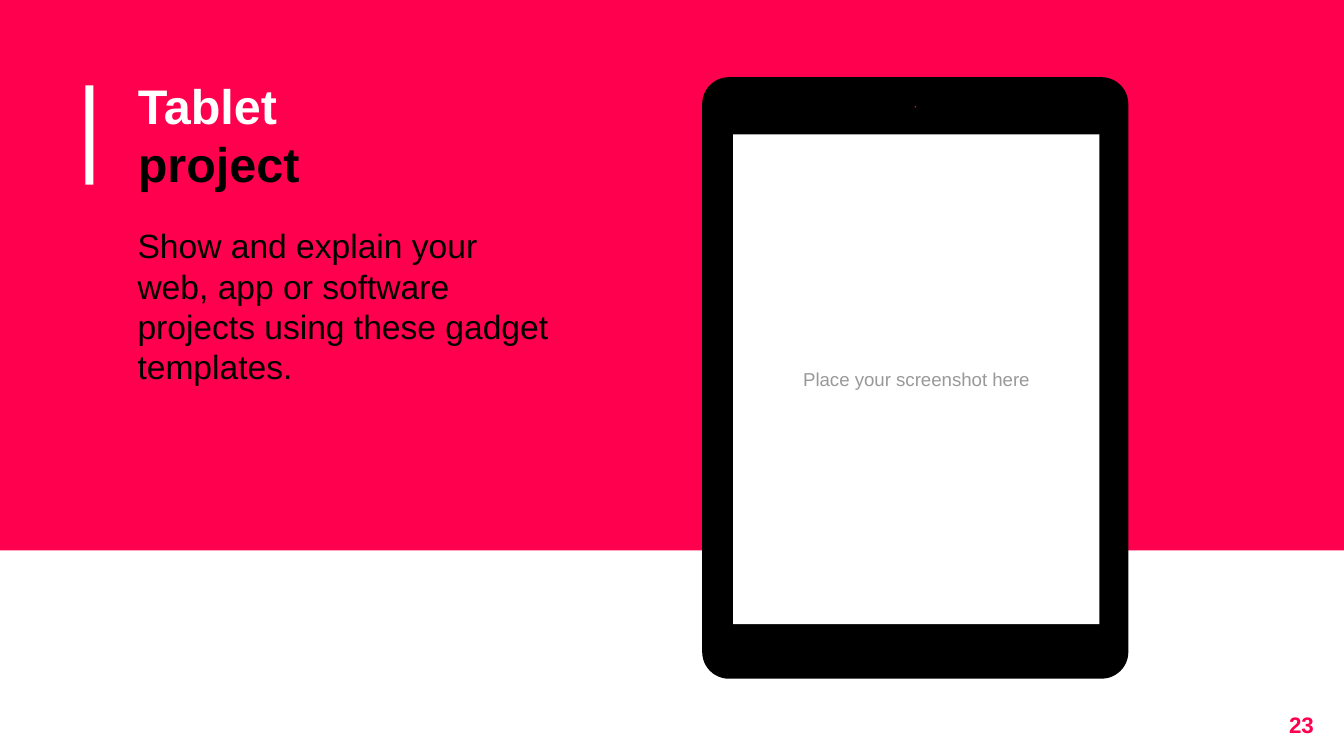
from dataclasses import dataclass

from pptx import Presentation
from pptx.dml.color import RGBColor
from pptx.enum.shapes import MSO_SHAPE
from pptx.enum.text import MSO_ANCHOR, MSO_AUTO_SIZE, PP_ALIGN
from pptx.util import Pt

PX = 4572  # EMU per px, 200 px to the inch
RECT, ROUND, OVAL = MSO_SHAPE.RECTANGLE, MSO_SHAPE.ROUNDED_RECTANGLE, MSO_SHAPE.OVAL
TOP, MIDDLE = MSO_ANCHOR.TOP, MSO_ANCHOR.MIDDLE
LEFT, CENTER, RIGHT = PP_ALIGN.LEFT, PP_ALIGN.CENTER, PP_ALIGN.RIGHT
NO_FIT = MSO_AUTO_SIZE.NONE

PINK = RGBColor(0xFF, 0x00, 0x4E)
WHITE = RGBColor(0xFF, 0xFF, 0xFF)
BLACK = RGBColor(0x00, 0x00, 0x00)
GRAY = RGBColor(0x99, 0x99, 0x99)

FONT = "Arial"
PITCH = 1.2  # line height in ems
WIDTH, HEIGHT = 2000, 1125
INSET = 20
MARGIN = 185  # left edge of the title and body text


@dataclass(frozen=True)
class Box:
    left: int
    top: int
    width: int
    height: int

    def emu(self) -> tuple[int, ...]:
        return tuple(n * PX for n in (self.left, self.top, self.width, self.height))


@dataclass(frozen=True)
class Line:
    text: str
    color: RGBColor


@dataclass(frozen=True)
class Style:
    size: int
    bold: bool = False
    align: PP_ALIGN = LEFT
    anchor: MSO_ANCHOR = TOP


def draw(slide, kind: MSO_SHAPE, box: Box, fill: RGBColor):
    shape = slide.shapes.add_shape(kind, *box.emu())
    shape.shadow.inherit = False
    shape.fill.solid()
    shape.fill.fore_color.rgb = fill
    shape.line.fill.background()
    return shape


def write(shape, lines: list[Line], style: Style) -> None:
    frame = shape.text_frame
    frame.word_wrap = True
    frame.auto_size = NO_FIT
    frame.vertical_anchor = style.anchor
    frame.margin_left = frame.margin_right = INSET * PX
    frame.margin_top = frame.margin_bottom = INSET * PX
    for i, line in enumerate(lines):
        para = frame.add_paragraph() if i else frame.paragraphs[0]
        para.alignment = style.align
        para.line_spacing = Pt(style.size * PITCH)
        para.space_before = Pt(0)
        run = para.add_run()
        run.text = line.text
        font = run.font
        font.name, font.size, font.bold = FONT, Pt(style.size), style.bold
        font.color.rgb = line.color


def label(slide, box: Box, line: Line, style: Style) -> None:
    write(slide.shapes.add_textbox(*box.emu()), [line], style)


def tablet(slide) -> None:
    body = draw(slide, ROUND, Box(1047, 117, 630, 891), BLACK)
    body.adjustments[0] = 0.06
    body.line.color.rgb = BLACK
    body.line.width = Pt(1.5)
    draw(slide, OVAL, Box(1361, 158, 2, 2), PINK)  # camera
    screen = draw(slide, RECT, Box(1091, 200, 545, 729), WHITE)
    write(screen, [Line("Place your screenshot here", GRAY)],
          Style(10, align=CENTER, anchor=MIDDLE))


def main() -> None:
    deck = Presentation()
    deck.slide_width, deck.slide_height = WIDTH * PX, HEIGHT * PX
    slide = deck.slides.add_slide(deck.slide_layouts[5])

    # Backdrop and accent bar
    draw(slide, RECT, Box(0, 0, WIDTH, 819), PINK)
    draw(slide, RECT, Box(127, 127, 12, 148), WHITE)

    tablet(slide)

    # Title, moved above the backdrop
    title = slide.shapes.title
    title.left, title.top, title.width, title.height = Box(MARGIN, 93, 706, 188).emu()
    write(title, [Line("Tablet", WHITE), Line("project", BLACK)], Style(26, bold=True))
    slide.shapes._spTree.append(title._element)

    # Body text and page number
    intro = ("Show and explain your web, app or software projects "
             "using these gadget templates.")
    label(slide, Box(MARGIN, 315, 654, 764), Line(intro, BLACK), Style(18))
    label(slide, Box(1855, 1039, 120, 86), Line("23", PINK),
          Style(12, bold=True, align=RIGHT))

    deck.save("out.pptx")


if __name__ == "__main__":
    main()
